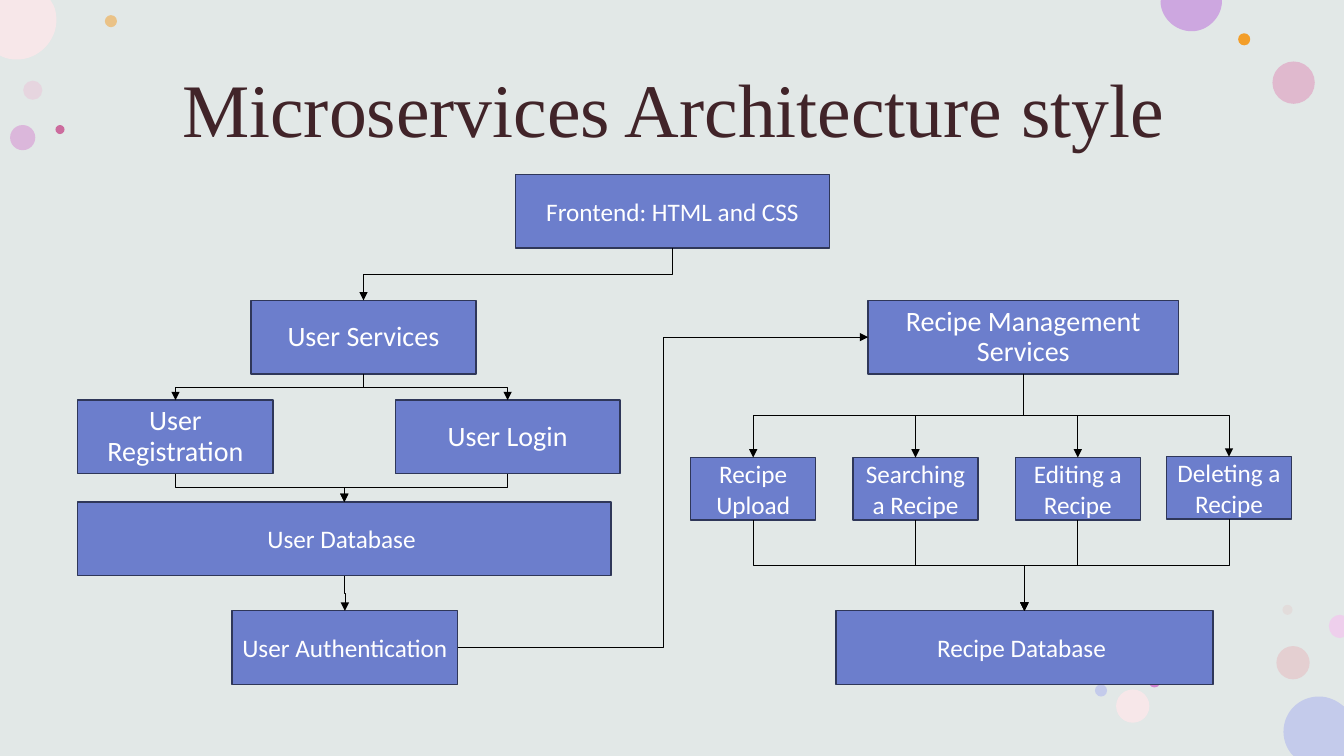
from lxml.etree import SubElement
from pptx import Presentation
from pptx.dml.color import RGBColor
from pptx.enum.shapes import MSO_CONNECTOR, MSO_SHAPE
from pptx.enum.text import MSO_ANCHOR, PP_ALIGN
from pptx.oxml.ns import qn
from pptx.util import Inches, Pt

WIDTH, HEIGHT = 13.33, 7.5
BOX_HEIGHT = 0.73
TOP, LEFT, BOTTOM, RIGHT = range(4)
BACKGROUND = RGBColor(0xE2, 0xE8, 0xE7)
TITLE_COLOR = RGBColor(0x41, 0x24, 0x29)
BOX_FILL = RGBColor(0x6C, 0x7E, 0xCC)
BOX_LINE = RGBColor(0x2F, 0x37, 0x59)
WHITE = RGBColor(0xFF, 0xFF, 0xFF)
BLACK = RGBColor(0, 0, 0)
PALE_ROSE = RGBColor(0xEB, 0xC4, 0xD8)
ORANGE = RGBColor(0xF3, 0x9E, 0x29)
DUSTY_PINK = RGBColor(0xE6, 0xB7, 0xBC)
ORCHID = RGBColor(0xD5, 0x87, 0xD0)
ROSE = RGBColor(0xE0, 0xA7, 0xC5)
BEIGE_PINK = RGBColor(0xE3, 0xBE, 0xBE)
BLUSH = RGBColor(0xF7, 0xE7, 0xE9)
PERIWINKLE = RGBColor(0xC4, 0xCB, 0xEB)
LILAC = RGBColor(0xCD, 0xA7, 0xE0)
MAGENTA = RGBColor(0xCC, 0x6C, 0x9E)
LIGHT_ORCHID = RGBColor(0xEE, 0xCF, 0xEC)

BUBBLES = [
    (0.23, 0.8, 0.19, PALE_ROSE, 50), (1.04, 0.15, 0.12, ORANGE, 50),
    (12.66, 6.41, 0.33, DUSTY_PINK, 50), (0.1, 1.24, 0.25, ORCHID, 50),
    (12.62, 0.61, 0.42, ROSE, 72), (12.28, 0.33, 0.12, ORANGE, 100),
    (12.72, 6, 0.1, BEIGE_PINK, 28), (11.39, 6.7, 0.12, ORCHID, 100),
    (11.07, 6.84, 0.33, BLUSH, 100), (10.86, 6.79, 0.12, PERIWINKLE, 100),
    (0.55, 1.24, 0.09, MAGENTA, 100),
]

EDGE_BUBBLES = [
    (PERIWINKLE, (13.08, 6.91), [
        [(13.18, 6.91), (13.26, 6.95), (13.33, 7.01)], [(13.33, 7.5)], [(12.83, 7.5)],
        [(12.81, 7.48)], [(12.76, 7.42), (12.73, 7.34), (12.73, 7.26)],
        [(12.73, 7.06), (12.89, 6.91), (13.08, 6.91)]]),
    (BLUSH, (0, 0), [
        [(0.5, 0)], [(0.53, 0.05)], [(0.55, 0.09), (0.56, 0.14), (0.56, 0.2)],
        [(0.56, 0.41), (0.38, 0.59), (0.17, 0.59)],
        [(0.11, 0.59), (0.06, 0.58), (0.02, 0.56)], [(0, 0.55)]]),
    (LILAC, (11.52, 0), [
        [(12.12, 0)], [(12.12, 0.01)], [(12.12, 0.17), (11.98, 0.31), (11.82, 0.31)],
        [(11.65, 0.31), (11.51, 0.17), (11.51, 0.01)]]),
    (LIGHT_ORCHID, (13.29, 6.1), [
        [(13.33, 6.11)], [(13.33, 6.32)], [(13.29, 6.33)],
        [(13.23, 6.33), (13.18, 6.28), (13.18, 6.21)],
        [(13.18, 6.15), (13.23, 6.1), (13.29, 6.1)]]),
]


def apply_format(target, values):
    for name, value in values.items():
        setattr(target, name, value)


def paint(shape, color, opacity=100):
    shape.shadow.inherit = False
    shape.fill.solid()
    shape.fill.fore_color.rgb = color
    shape.line.fill.background()
    if opacity < 100:
        color_element = shape.fill._xPr.find(qn("a:solidFill"))[0]
        SubElement(color_element, qn("a:alpha")).set("val", str(opacity * 1000))


def add_curved_outline(shapes, start, segments):
    builder = shapes.build_freeform(Inches(start[0]), Inches(start[1]))
    ends = [segment[-1] for segment in segments]
    builder.add_line_segments([(Inches(x), Inches(y)) for x, y in ends], close=True)
    shape = builder.convert_to_shape()
    steps = list(shape._element.iter(qn("a:lnTo")))
    for step, segment in zip(steps, segments):
        if len(segment) == 3:
            step.tag = qn("a:cubicBezTo")
            step.remove(step[0])
            for x, y in segment:
                point = SubElement(step, qn("a:pt"))
                point.set("x", str(Inches(x) - shape.left))
                point.set("y", str(Inches(y) - shape.top))
    return shape


def add_backdrop(shapes, left, top, width, height):
    backdrop = shapes.add_shape(MSO_SHAPE.RECTANGLE, Inches(left), Inches(top),
                                Inches(width), Inches(height))
    paint(backdrop, BACKGROUND)
    for across, down, size, color, opacity in BUBBLES:
        bubble = shapes.add_shape(MSO_SHAPE.OVAL, Inches(left + across), Inches(top + down),
                                  Inches(size), Inches(size))
        paint(bubble, color, opacity)
    for color, start, segments in EDGE_BUBBLES:
        paint(add_curved_outline(shapes, start, segments), color)


def write_text(shape, text, size, font_name, color, spacing):
    apply_format(shape.text_frame, {"text": text, "word_wrap": True,
                                    "vertical_anchor": MSO_ANCHOR.MIDDLE})
    paragraph = shape.text_frame.paragraphs[0]
    apply_format(paragraph, {"alignment": PP_ALIGN.CENTER, "line_spacing": spacing})
    font = paragraph.runs[0].font
    apply_format(font, {"size": Pt(size), "name": font_name})
    font.color.rgb = color


def add_title(slide, left, top, width, height):
    title = slide.shapes.title
    apply_format(title, {"left": Inches(left), "top": Inches(top),
                         "width": Inches(width), "height": Inches(height)})
    write_text(title, "Microservices Architecture style", 54,
               "Times New Roman", TITLE_COLOR, 0.9)
    slide.shapes._spTree.append(title._element)


def add_box(shapes, text, left, top, width, height=BOX_HEIGHT, size=18):
    shape = shapes.add_shape(MSO_SHAPE.RECTANGLE, Inches(left), Inches(top),
                             Inches(width), Inches(height))
    paint(shape, BOX_FILL)
    shape.line.color.rgb = BOX_LINE
    shape.line.width = Pt(1)
    write_text(shape, text, size, "Calibri", WHITE, 0.9 if size == 20 else 1.0)
    return shape


def add_arrow(shapes, source, target, begin_site=BOTTOM, end_site=TOP):
    connector = shapes.add_connector(MSO_CONNECTOR.ELBOW, 0, 0, 0, 0)
    connector.begin_connect(source, begin_site)
    connector.end_connect(target, end_site)
    if begin_site == BOTTOM:
        across = connector.end_x - connector.begin_x
        down = connector.end_y - connector.begin_y
        middle_x = (connector.begin_x + connector.end_x) // 2
        middle_y = (connector.begin_y + connector.end_y) // 2
        apply_format(connector, {"left": middle_x - down // 2,
                                 "top": middle_y - abs(across) // 2,
                                 "width": down, "height": abs(across)})
        transform = connector._element.spPr.find(qn("a:xfrm"))
        transform.set("rot", str((270 if across > 0 else 90) * 60000))
        transform.set("flipH", "1" if across > 0 else "0")
        transform.set("flipV", "0")
    connector.line.color.rgb = BLACK
    connector.line.width = Pt(0.5)
    SubElement(connector.line._get_or_add_ln(), qn("a:tailEnd")).set("type", "triangle")
    SubElement(connector._element.spPr, qn("a:effectLst"))


def add_user_services(shapes, left, top):
    services = add_box(shapes, "User Services", left + 1.72, top, 2.23, size=20)
    registration = add_box(shapes, "User Registration", left, top + 0.99, 1.94, size=20)
    login = add_box(shapes, "User Login", left + 3.15, top + 0.99, 2.23, size=20)
    database = add_box(shapes, "User Database ", left, top + 2, 5.29)
    authentication = add_box(shapes, "User Authentication", left + 1.53, top + 3.08, 2.24)
    for step in (registration, login):
        add_arrow(shapes, services, step)
        add_arrow(shapes, step, database)
    add_arrow(shapes, database, authentication)
    return services, authentication


def add_recipe_services(shapes, left, top):
    management = add_box(shapes, "Recipe Management Services", left + 1.76, top, 3.08, size=20)
    database = add_box(shapes, "Recipe Database ", left + 1.44, top + 3.08, 3.74)
    actions = [("Recipe Upload", 0, 1.56), ("Searching a Recipe", 1.61, 1.56),
               ("Editing a Recipe", 3.22, 1.56), ("Deleting a Recipe", 4.72, 1.55)]
    for text, across, down in actions:
        action = add_box(shapes, text, left + across, top + down, 1.24, 0.62)
        add_arrow(shapes, management, action)
        add_arrow(shapes, action, database)
    return management


def build_architecture_slide(presentation):
    slide = presentation.slides.add_slide(presentation.slide_layouts[5])
    shapes = slide.shapes
    add_backdrop(shapes, 0, 0, WIDTH, HEIGHT)
    add_title(slide, 0.85, 0.4, 11.66, 1.45)
    frontend = add_box(shapes, "Frontend: HTML and CSS", 5.11, 1.73, 3.12)
    services, authentication = add_user_services(shapes, 0.77, 2.98)
    management = add_recipe_services(shapes, 6.85, 2.98)
    add_arrow(shapes, frontend, services)
    add_arrow(shapes, authentication, management, RIGHT, LEFT)


presentation = Presentation()
apply_format(presentation, {"slide_width": Inches(WIDTH), "slide_height": Inches(HEIGHT)})
build_architecture_slide(presentation)
presentation.save("out.pptx")
